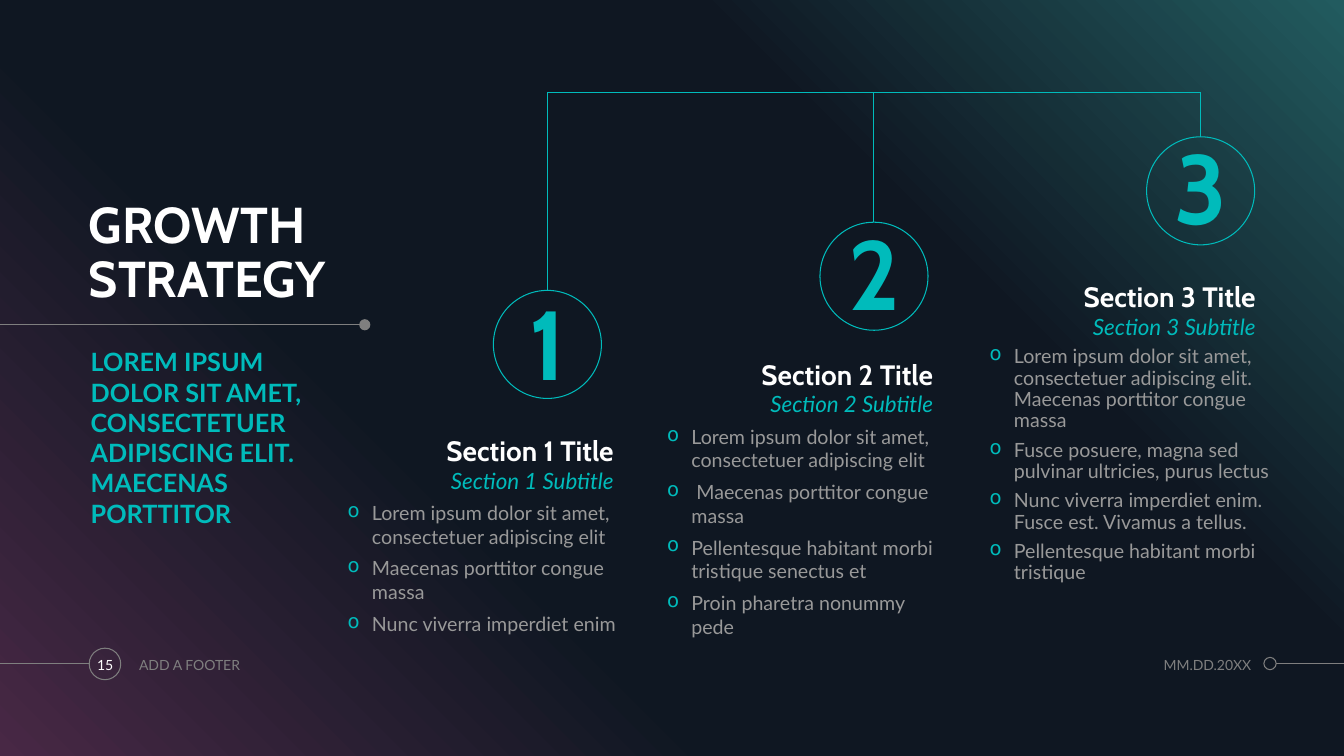
from dataclasses import dataclass

from lxml.etree import SubElement
from pptx import Presentation
from pptx.dml.color import RGBColor
from pptx.enum.shapes import MSO_CONNECTOR, MSO_SHAPE
from pptx.enum.text import MSO_ANCHOR, PP_ALIGN
from pptx.oxml.ns import qn
from pptx.util import Pt


@dataclass(frozen=True)
class Theme:
    accent: str = "00BBBB"
    white: str = "FFFFFF"
    body: str = "999999"
    muted: str = "7F7F7F"
    black: str = "000000"
    backdrop: tuple = ((0, "482845"), (34, "0F1722"), (69, "0F1722"), (100, "225B5F"))
    heading_font: str = "Cabin"
    text_font: str = "Lato"
    numeral_size: float = 70
    title_size: float = 36
    section_size: float = 20
    lead_size: float = 18
    subtitle_size: float = 16
    body_size: float = 14
    footer_size: float = 10
    hairline: float = 0.75


class SlideBuilder:
    def __init__(self, deck, theme):
        self.theme = theme
        self.slide = deck.slides.add_slide(deck.slide_layouts[5])
        self.size = deck.slide_width.pt, deck.slide_height.pt

    def backdrop(self):
        base = self.slide.background.fill
        base.solid()
        base.fore_color.rgb = RGBColor.from_string(self.theme.black)
        panel = self.shape(MSO_SHAPE.RECTANGLE, 0, 0, *self.size)
        panel.fill.gradient()
        panel.fill.gradient_angle = 45
        stops = panel.element.spPr.find(".//" + qn("a:gsLst"))
        stops.clear()
        for percent, color in self.theme.backdrop:
            stop = SubElement(stops, qn("a:gs"), pos=str(percent * 1000))
            SubElement(stop, qn("a:srgbClr"), val=color)

    def shape(self, kind, left, top, width, height, fill=None, outline=None):
        shape = self.slide.shapes.add_shape(kind, Pt(left), Pt(top), Pt(width), Pt(height))
        shape.shadow.inherit = False
        if fill:
            shape.fill.solid()
            shape.fill.fore_color.rgb = RGBColor.from_string(fill)
        else:
            shape.fill.background()
        if outline:
            shape.line.color.rgb = RGBColor.from_string(outline)
            shape.line.width = Pt(self.theme.hairline)
        else:
            shape.line.fill.background()
        return shape

    def circle(self, center_x, top, diameter, **style):
        return self.shape(MSO_SHAPE.OVAL, center_x - diameter / 2, top, diameter, diameter, **style)

    def line(self, x1, y1, x2, y2, color):
        line = self.slide.shapes.add_connector(
            MSO_CONNECTOR.STRAIGHT, Pt(x1), Pt(y1), Pt(x2), Pt(y2))
        line.line.color.rgb = RGBColor.from_string(color)
        line.line.width = Pt(self.theme.hairline)
        SubElement(line.element.spPr, qn("a:effectLst"))

    def title(self, box, lines):
        title = self.slide.shapes.title
        self.slide.shapes.element.append(title.element)  # bring in front of the backdrop
        title.left, title.top, title.width, title.height = map(Pt, box)
        frame = self.frame(title, MSO_ANCHOR.BOTTOM)
        paragraph = frame.paragraphs[0]
        paragraph.alignment, paragraph.line_spacing = PP_ALIGN.LEFT, 0.9
        for index, words in enumerate(lines):
            if index:
                paragraph.add_line_break()
            self.run(paragraph, words, self.theme.title_size, self.theme.white,
                     self.theme.heading_font, bold=True)

    def frame(self, shape, anchor, insets=(0, 0, 0, 0)):
        frame = shape.text_frame
        frame.word_wrap = True
        frame.vertical_anchor = anchor
        (frame.margin_left, frame.margin_top,
         frame.margin_right, frame.margin_bottom) = map(Pt, insets)
        return frame

    def run(self, paragraph, words, size, color, font=None, bold=False, italic=False):
        run = paragraph.add_run()
        run.text = words
        run.font.name = font or self.theme.text_font
        run.font.size = Pt(size)
        run.font.color.rgb = RGBColor.from_string(color)
        run.font.bold, run.font.italic = bold, italic

    def text(self, box, words, size, color, align=PP_ALIGN.LEFT, anchor=MSO_ANCHOR.TOP,
             insets=(0, 0, 0, 0), spacing=1.0, **style):
        holder = self.slide.shapes.add_textbox(*map(Pt, box))
        paragraph = self.frame(holder, anchor, insets).paragraphs[0]
        paragraph.alignment, paragraph.line_spacing = align, spacing
        self.run(paragraph, words, size, color, **style)

    def numeral(self, center_x, top, diameter, digit, inset_top):
        badge = self.circle(center_x, top, diameter, outline=self.theme.accent)
        paragraph = self.frame(badge, MSO_ANCHOR.MIDDLE, (0, inset_top, 0, 0)).paragraphs[0]
        paragraph.alignment, paragraph.line_spacing = PP_ALIGN.CENTER, 0.9
        self.run(paragraph, digit, self.theme.numeral_size, self.theme.accent,
                 self.theme.heading_font, bold=True)

    def bullets(self, box, items, spacing):
        frame = self.frame(self.slide.shapes.add_textbox(*map(Pt, box)), MSO_ANCHOR.TOP)
        for index, item in enumerate(items):
            paragraph = frame.add_paragraph() if index else frame.paragraphs[0]
            properties = paragraph._p.get_or_add_pPr()
            indent = Pt(17.28)
            properties.set("marL", str(indent))
            properties.set("indent", str(-indent))
            bullet_color = SubElement(properties, qn("a:buClr"))
            SubElement(bullet_color, qn("a:srgbClr"), val=self.theme.accent)
            SubElement(properties, qn("a:buChar"), char="o")
            paragraph.line_spacing = spacing
            if index:
                paragraph.space_before = Pt(6)
            self.run(paragraph, item, self.theme.body_size, self.theme.body)

    def section(self, number, left, top, body_height, items, spacing):
        theme = self.theme
        heading = dict(align=PP_ALIGN.RIGHT, anchor=MSO_ANCHOR.BOTTOM, spacing=0.9)
        self.text((left, top, 190, 28), f"Section {number} Title", theme.section_size,
                  theme.white, font=theme.heading_font, bold=True, **heading)
        self.text((left, top + 28.2, 190, 18.7), f"Section {number} Subtitle",
                  theme.subtitle_size, theme.accent, italic=True, **heading)
        self.bullets((left, top + 51.8, 203.8, body_height), items, spacing)


# circle top, numeral inset, text left, text top, body height, line spacing, bullets
SECTIONS = [
    (207.4, 6, 248.4, 306, 100.8, 1.0, [
        "Lorem ipsum dolor sit amet, consectetuer adipiscing elit",
        "Maecenas porttitor congue massa",
        "Nunc viverra imperdiet enim"]),
    (158.7, 3, 476.6, 251.5, 140.4, 1.0, [
        "Lorem ipsum dolor sit amet, consectetuer adipiscing elit",
        " Maecenas porttitor congue massa",
        "Pellentesque habitant morbi tristique senectus et",
        "Proin pharetra nonummy pede"]),
    (97.7, 3, 707, 196, 182.2, 0.9, [
        "Lorem ipsum dolor sit amet, consectetuer adipiscing elit. Maecenas porttitor congue massa",
        "Fusce posuere, magna sed pulvinar ultricies, purus lectus",
        "Nunc viverra imperdiet enim. Fusce est. Vivamus a tellus.",
        "Pellentesque habitant morbi tristique"]),
]


def main():
    deck = Presentation()
    deck.slide_width, deck.slide_height = Pt(960), Pt(540)
    theme = Theme()
    page = SlideBuilder(deck, theme)
    page.backdrop()

    page.line(0, 232, 257.8, 232, theme.muted)
    page.circle(260.6, 228, 8, fill=theme.muted)
    page.title((63.4, 118.8, 222.5, 101.5), ["GROWTH", "STRATEGY"])
    page.text((64.8, 247.7, 174.2, 164.9),
              "LOREM IPSUM DOLOR SIT AMET, CONSECTETUER ADIPISCING ELIT. MAECENAS PORTTITOR",
              theme.lead_size, theme.accent, bold=True)

    rail_y, first_center, pitch, diameter = 65.8, 391, 233.3, 77.2
    page.line(first_center, rail_y, first_center + 2 * pitch, rail_y, theme.accent)
    for index, (circle_top, inset, left, top, height, spacing, items) in enumerate(SECTIONS):
        center = first_center + index * pitch
        page.line(center, circle_top, center, rail_y, theme.accent)
        page.numeral(center, circle_top, diameter, str(index + 1), inset)
        page.section(index + 1, left, top, height, items, spacing)

    page.line(0, 474, 63.6, 474, theme.muted)
    page.circle(75, 463, 22.5, outline=theme.muted)
    page.line(911.5, 474, 960, 474, theme.muted)
    page.circle(907.2, 469.6, 8.8, outline=theme.muted)
    padding = (7.2, 3.6, 7.2, 3.6)
    for box, words, color, align, insets in [
        ((61.2, 463, 28, 23.8), "15", theme.white, PP_ALIGN.CENTER, padding),
        ((92.2, 463, 229.7, 23.8), "ADD A FOOTER", theme.muted, PP_ALIGN.LEFT, padding),
        ((788.4, 463, 105.4, 23.8), "MM.DD.20XX", theme.muted, PP_ALIGN.RIGHT, (0, 0, 0, 0)),
    ]:
        page.text(box, words, theme.footer_size, color, align, MSO_ANCHOR.MIDDLE, insets)

    deck.save("out.pptx")


if __name__ == "__main__":
    main()
